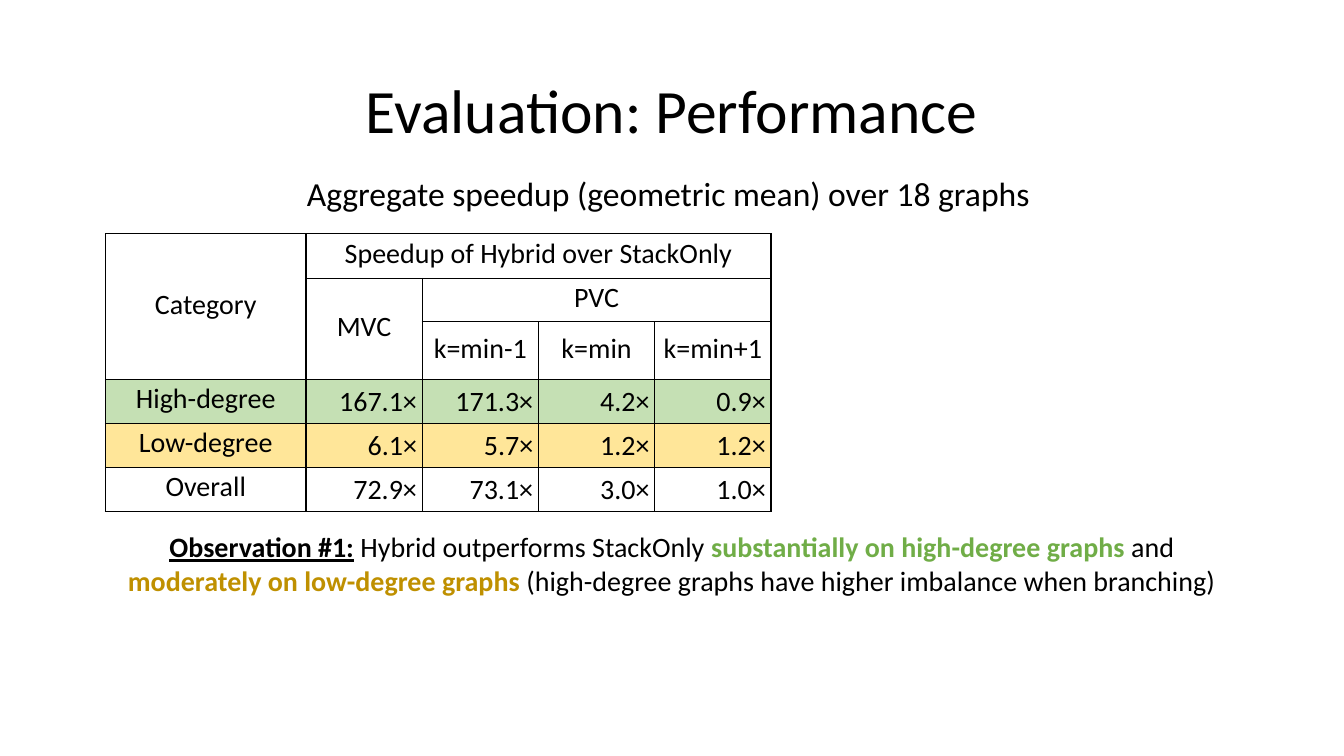
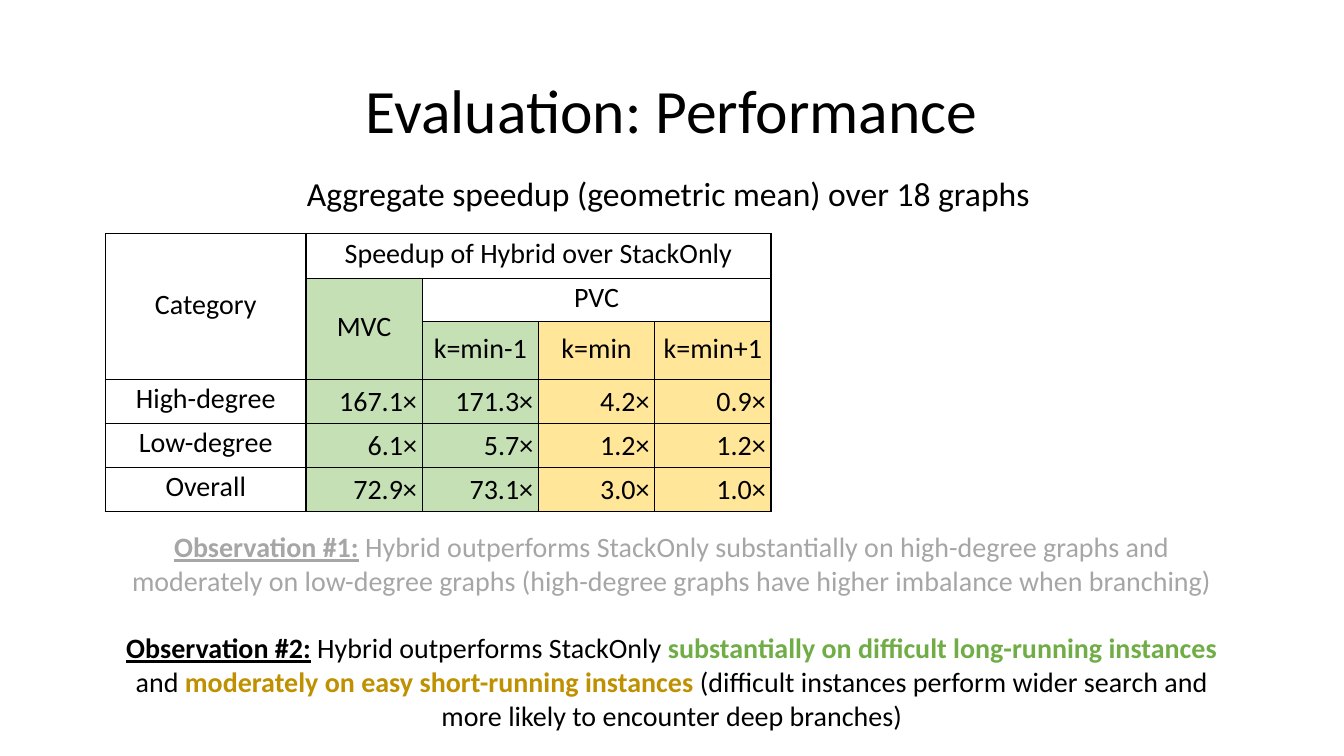
from dataclasses import dataclass
from typing import Callable

import lxml.etree
import pptx
import pptx.dml.color
import pptx.enum.text
import pptx.oxml.ns
import pptx.util

Cm, Pt = pptx.util.Cm, pptx.util.Pt
ALIGN = pptx.enum.text.PP_ALIGN
MIDDLE = pptx.enum.text.MSO_ANCHOR.MIDDLE

COLORS = {
    "text": "000000", "muted": "A6A6A6",
    "strong": "70AD47", "moderate": "BF9000",
    "green": "C5E0B4", "yellow": "FFE699",
}
FONT = "Calibri"
BODY_SIZE = 20


@dataclass
class Run:
    text: str
    color: str = "text"
    bold: bool = False
    underline: bool = False


@dataclass
class Box:
    left: float
    top: float
    width: float
    height: float

    def lengths(self) -> list[pptx.util.Length]:
        return [Cm(v) for v in (self.left, self.top, self.width, self.height)]


@dataclass
class PerformanceSlide:
    fill_for: Callable[[int, int], str | None]
    observations: list[list[Run]]
    observation_height: float


# Shared layout, in centimetres
TITLE = Box(2.33, 1.02, 29.21, 3.68)
SUBTITLE = Box(7.29, 4.24, 19.3, 1.27)
TABLE = Box(2.66, 5.89, 16.79, 6.97)
COLUMNS = [5.05] + [2.93] * 4
ROWS = [1.13, 1.09, 1.45] + [1.1] * 3
OBSERVATION_LEFT, OBSERVATION_TOP, OBSERVATION_WIDTH = 2.64, 13.23, 28.58

# Table content: headers, merged areas (first and last cell), values
HEADER_ROWS = 3
GRID = [
    ["Category", "Speedup of Hybrid over StackOnly", "", "", ""],
    ["", "MVC", "PVC", "", ""],
    ["", "", "k=min-1", "k=min", "k=min+1"],
    ["High-degree", "167.1×", "171.3×", "4.2×", "0.9×"],
    ["Low-degree", "6.1×", "5.7×", "1.2×", "1.2×"],
    ["Overall", "72.9×", "73.1×", "3.0×", "1.0×"],
]
MERGES = [((0, 0), (2, 0)), ((0, 1), (0, 4)), ((1, 1), (2, 1)), ((1, 2), (1, 4))]
LABEL_MARGINS = {"margin_left": Cm(0.03), "margin_top": Cm(0.03),
                 "margin_right": Cm(0.03), "margin_bottom": Cm(0.13)}
VALUE_MARGINS = dict.fromkeys(LABEL_MARGINS, Cm(0.13))


def set_attributes(target: object, values: dict) -> None:
    for name, value in values.items():
        setattr(target, name, value)


def add_runs(p, runs: list[Run], size: int, align=ALIGN.CENTER) -> None:
    p.alignment = align
    for run in runs:
        r = p.add_run()
        r.text = run.text
        set_attributes(r.font, {"name": FONT, "size": Pt(size),
                                "bold": run.bold, "underline": run.underline})
        r.font.color.rgb = pptx.dml.color.RGBColor.from_string(COLORS[run.color])


def add_text(s, box: Box, paragraphs: list[list[Run]], size: int, gap: int = 0):
    tf = s.shapes.add_textbox(*box.lengths()).text_frame
    tf.word_wrap = True
    for i, runs in enumerate(paragraphs):
        p = tf.add_paragraph() if i else tf.paragraphs[0]
        add_runs(p, runs, size)
        if i:
            p.space_before = Pt(gap)
    return tf


def add_borders(cell) -> None:
    tc_pr = cell._tc.get_or_add_tcPr()
    qn = pptx.oxml.ns.qn
    for side in ("lnL", "lnR", "lnT", "lnB"):
        ln = lxml.etree.SubElement(tc_pr, qn(f"a:{side}"), w=str(Pt(1)))
        fill = lxml.etree.SubElement(ln, qn("a:solidFill"))
        lxml.etree.SubElement(fill, qn("a:srgbClr"), val=COLORS["text"])


def add_speedup_table(s, fill_for: Callable[[int, int], str | None]) -> None:
    table = s.shapes.add_table(len(ROWS), len(COLUMNS), *TABLE.lengths()).table
    set_attributes(table, {"first_row": False, "horz_banding": False})
    for column, width in zip(table.columns, COLUMNS):
        column.width = Cm(width)
    for row, height in zip(table.rows, ROWS):
        row.height = Cm(height)
    for first, last in MERGES:
        table.cell(*first).merge(table.cell(*last))
    for i, texts in enumerate(GRID):
        for j, text in enumerate(texts):
            cell = table.cell(i, j)
            is_value = i >= HEADER_ROWS and j > 0
            set_attributes(cell, VALUE_MARGINS if is_value else LABEL_MARGINS)
            cell.vertical_anchor = MIDDLE
            add_borders(cell)
            color = fill_for(i, j)
            if color:
                cell.fill.solid()
                cell.fill.fore_color.rgb = pptx.dml.color.RGBColor.from_string(COLORS[color])
            else:
                cell.fill.background()
            if text:
                align = ALIGN.RIGHT if is_value else ALIGN.CENTER
                add_runs(cell.text_frame.paragraphs[0], [Run(text)], BODY_SIZE, align)


def add_performance_slide(prs, content: PerformanceSlide) -> None:
    s = prs.slides.add_slide(prs.slide_layouts[6])
    tf = add_text(s, TITLE, [[Run("Evaluation: Performance")]], 44)
    tf.vertical_anchor = MIDDLE
    tf.paragraphs[0].line_spacing = 0.9
    add_speedup_table(s, content.fill_for)
    add_text(s, SUBTITLE, [[Run("Aggregate speedup (geometric mean) over 18 graphs ")]], 24)
    box = Box(OBSERVATION_LEFT, OBSERVATION_TOP, OBSERVATION_WIDTH,
              content.observation_height)
    add_text(s, box, content.observations, BODY_SIZE, gap=24)


# Highlighting rules
def fill_by_degree(row: int, col: int) -> str | None:
    return {3: "green", 4: "yellow"}.get(row)


def fill_by_difficulty(row: int, col: int) -> str | None:
    first_row = 1 if col == 1 else 2
    if col == 0 or row < first_row:
        return None
    return "green" if col <= 2 else "yellow"


def observation(number: int, strong: str, moderate: str, reason: str) -> list[Run]:
    return [
        Run(f"Observation #{number}:", bold=True, underline=True),
        Run(" Hybrid outperforms StackOnly "),
        Run(f"substantially on {strong}", "strong", bold=True),
        Run(" and "),
        Run(f"moderately on {moderate}", "moderate", bold=True),
        Run(f" ({reason})"),
    ]


def muted(runs: list[Run]) -> list[Run]:
    return [Run(r.text, "muted", r.underline, r.underline) for r in runs]


DEGREE = observation(1, "high-degree graphs", "low-degree graphs",
                     "high-degree graphs have higher imbalance when branching")
DIFFICULTY = observation(2, "difficult long-running instances",
                         "easy short-running instances",
                         "difficult instances perform wider search and "
                         "more likely to encounter deep branches")
SLIDES = [
    PerformanceSlide(fill_by_degree, [DEGREE], 1.96),
    PerformanceSlide(fill_by_difficulty, [muted(DEGREE), DIFFICULTY], 5.38),
]


def main() -> None:
    prs = pptx.Presentation()
    set_attributes(prs, {"slide_width": Cm(33.87), "slide_height": Cm(19.05)})
    for content in SLIDES:
        add_performance_slide(prs, content)
    prs.save("out.pptx")


if __name__ == "__main__":
    main()
